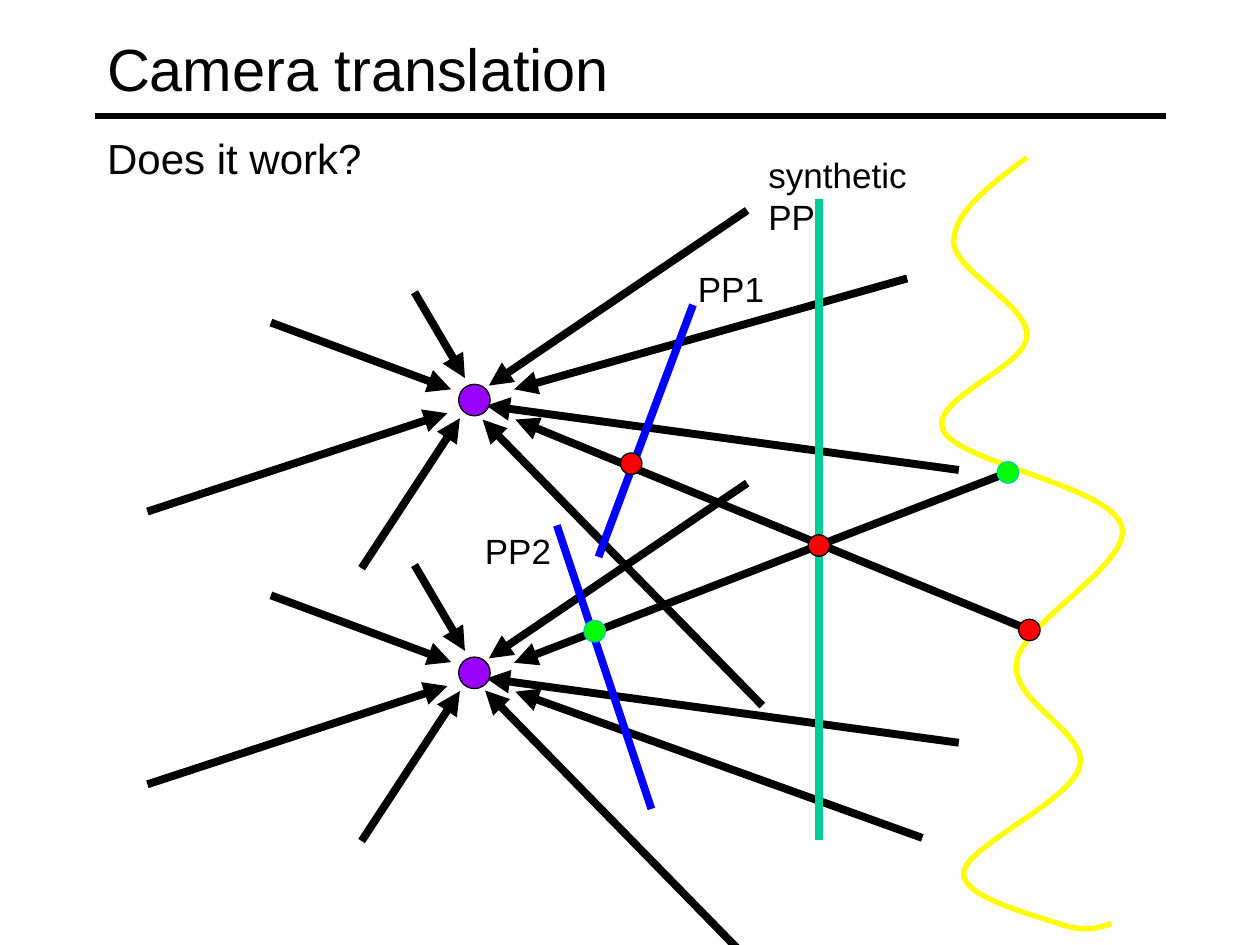
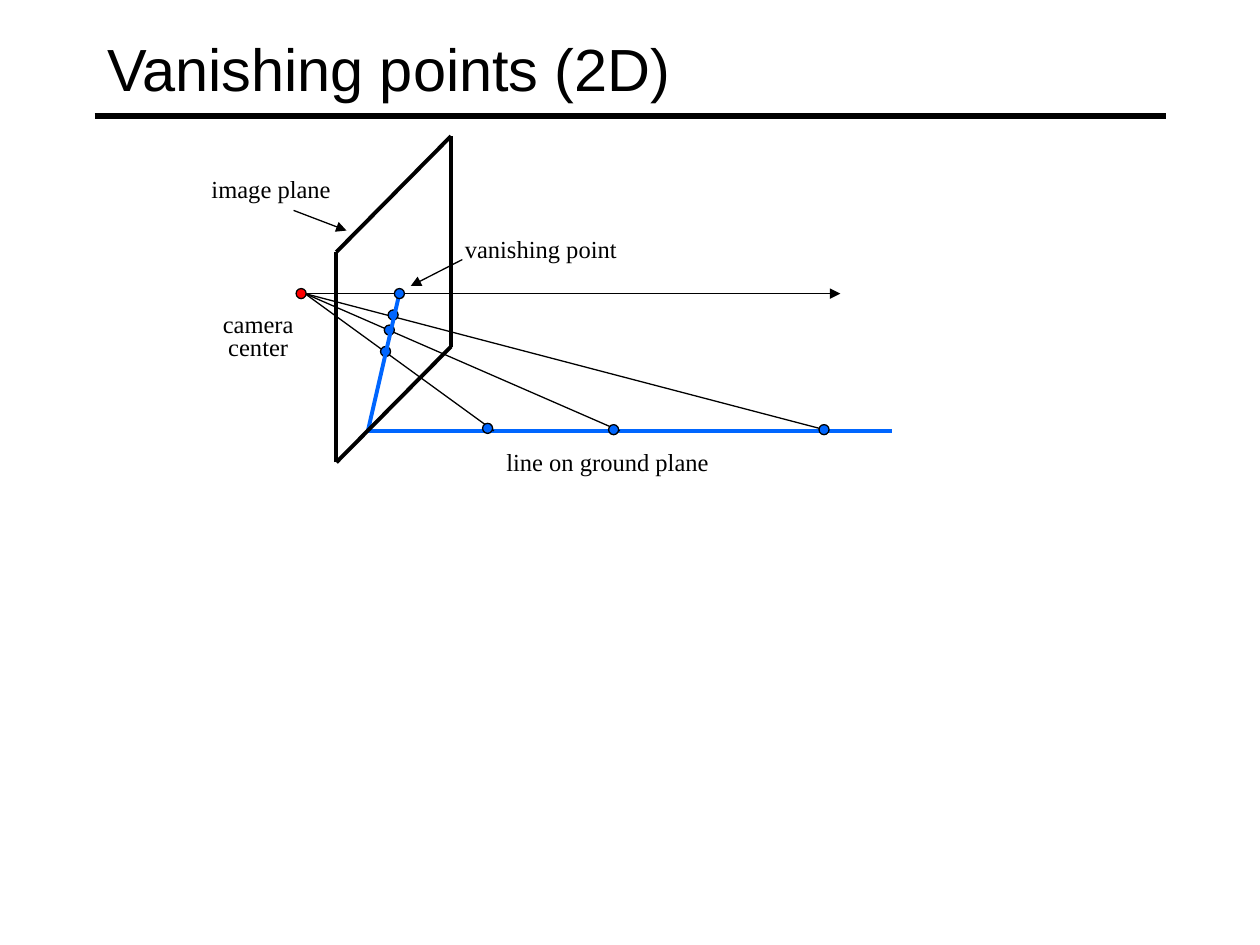
from lxml import etree
from pptx import Presentation
from pptx import util as u
from pptx.dml.color import RGBColor
from pptx.enum import shapes, text
from pptx.oxml.ns import qn

HUE = {"ink": "000000", "violet": "9900FF", "yellow": "FFFF00", "teal": "00CC99",
       "plane": "0000FF", "red": "FF0000", "green": "00FF00", "blue": "0066FF"}
SANS, SERIF = "Arial", "Times New Roman"
RULE = ((0.75, 0.92), (9.25, 0.92))

# Slide 1: rays run from far point to the tip beside a camera
RAYS = [((3.29, 2.32), (3.69, 3)), ((2.15, 2.56), (3.58, 3.09)),
        ((7.61, 3.73), (3.86, 3.22)), ((2.87, 4.51), (3.65, 3.32)),
        ((5.93, 1.67), (3.88, 3.06)), ((1.17, 4.06), (3.55, 3.28))]
CAMS = [  # drop below the first camera, rays that only this camera has
    (0, [((7.2, 2.21), (4.08, 3.09)), ((8.17, 5), (4.09, 3.33)),
         ((6.05, 5.6), (3.83, 3.33))]),
    (2.165, [((8, 3.75), (4.08, 5.26)), ((7.32, 6.65), (4.09, 5.49)),
             ((6.07, 7.75), (3.85, 5.48))])]
EYE = (3.765, 3.175)
SCENE = [(8.15, 1.25),
         (7.86, 1.47), (7.57, 1.68), (7.57, 1.92),
         (7.57, 2.15), (8.17, 2.42), (8.15, 2.67),
         (8.14, 2.92), (7.36, 3.17), (7.49, 3.42),
         (7.61, 3.67), (8.81, 3.86), (8.9, 4.17),
         (9, 4.47), (8.12, 4.93), (8.07, 5.25),
         (8.01, 5.57), (8.64, 5.81), (8.57, 6.08),
         (8.5, 6.36), (7.68, 6.71), (7.65, 6.92),
         (7.62, 7.12), (8.21, 7.26), (8.4, 7.33),
         (8.6, 7.4), (8.71, 7.37), (8.82, 7.33)]
PLANES = [((6.5, 1.58), (6.5, 6.67), "teal"), ((5.5, 2.42), (4.75, 4.42), "plane"),
          ((4.42, 4.17), (5.17, 6.42), "plane")]
TAGS = [("synthetic PP", (6, 1.17, 1.74, 0.43)), ("PP1", (5.44, 2.07, 0.73, 0.43)),
        ("PP2", (3.75, 4.15, 0.73, 0.43))]
HITS = [("red", "ink", [(5.01, 3.68), (8.17, 5), (6.5, 4.33)]),
        ("green", "teal", [(4.72, 5.01), (8, 3.75)])]

# Slide 2
CENTER = (2.42, 2.33)
FOOT, END = (2.92, 3.42), (7.08, 3.42)
VANISH = (3.17, 2.33)
SIGHTS = [  # ground end of the ray, dots on ground and on image plane
    ((3.92, 3.42), (3.87, 3.4), (3.06, 2.79)),
    ((4.92, 3.42), (4.87, 3.41), (3.09, 2.62)),
    ((6.58, 3.42), (6.54, 3.41), (3.12, 2.5))]
FRAME = [(2.67, 2), (3.58, 1.08), (3.58, 2.75), (2.67, 3.67)]
ARROWS = [(CENTER, (6.67, 2.33)), ((2.33, 1.67), (2.75, 1.83)),
          ((3.67, 2.06), (3.26, 2.27))]
NOTES = [("image plane", (1.58, 1.33, 1.15, 0.33)),
         ("camera\ncenter", (1.67, 2.4, 0.76, 0.52)),
         ("line on ground plane", (3.92, 3.5, 1.81, 0.33)),
         ("vanishing point", (3.59, 1.81, 1.41, 0.33))]


def rgb(name):
    return RGBColor.from_string(HUE[name])


def place(shape, box):
    shape.left, shape.top, shape.width, shape.height = map(u.Inches, box)


def style(par, size, font):
    for run in par.runs:
        run.font.size, run.font.name = u.Pt(size), font
        run.font.color.rgb = rgb("ink")


def stroke(shape, hue, width):
    shape.line.color.rgb = rgb(hue)
    shape.line.width = u.Pt(width)


def link(slide, start, end, width, hue="ink", tip=False):
    line = slide.shapes.add_connector(
        shapes.MSO_CONNECTOR.STRAIGHT, *map(u.Inches, start + end))
    stroke(line, hue, width)
    prop = line._element.spPr
    if tip:
        etree.SubElement(prop.find(qn("a:ln")), qn("a:tailEnd"), type="triangle")
    etree.SubElement(prop, qn("a:effectLst"))


def dot(slide, mid, size, fill, edge="ink"):
    box = (mid[0] - size / 2, mid[1] - size / 2, size, size)
    disc = slide.shapes.add_shape(shapes.MSO_SHAPE.OVAL, *map(u.Inches, box))
    disc.shadow.inherit = False
    disc.fill.solid()
    disc.fill.fore_color.rgb = rgb(fill)
    stroke(disc, edge, 0.75)


def label(slide, words, box, size, font):
    frame = slide.shapes.add_textbox(*map(u.Inches, box)).text_frame
    frame.word_wrap = False
    frame.auto_size = text.MSO_AUTO_SIZE.SHAPE_TO_FIT_TEXT
    frame.text = words
    for num, par in enumerate(frame.paragraphs):
        if len(frame.paragraphs) > 1:
            par.alignment = text.PP_ALIGN.CENTER
        if num:
            par.line_spacing = 0.8
        style(par, size, font)


def curve(slide, points, hue, width):
    """Draw one start point followed by triples of Bézier points."""
    pen = slide.shapes.build_freeform(*points[0], scale=u.Inches(1) / 1.0)
    pen = slide.shapes.build_freeform(
        *(u.Inches(v) for v in points[0]), scale=1.0)
    pen.add_line_segments([tuple(map(u.Inches, p)) for p in points[1:]], close=False)
    shape = pen.convert_to_shape()
    shape.shadow.inherit = False
    shape.fill.background()
    stroke(shape, hue, width)
    path = next(shape._element.iter(qn("a:path")))
    steps = path.findall(qn("a:lnTo"))
    for i in range(0, len(steps), 3):
        bend = etree.SubElement(path, qn("a:cubicBezTo"))
        for step in steps[i:i + 3]:
            bend.append(step[0])
            path.remove(step)


def start(deck, layout, words):
    slide = deck.slides.add_slide(deck.slide_layouts[layout])
    link(slide, *RULE, 3)
    title = slide.shapes.title
    place(title, (0.75, 0.08, 8.5, 0.92))
    title.text_frame.text = words
    title.text_frame.vertical_anchor = text.MSO_ANCHOR.MIDDLE
    par = title.text_frame.paragraphs[0]
    par.alignment = text.PP_ALIGN.LEFT
    style(par, 34, SANS)
    return slide


def shift(deck):
    slide = start(deck, 1, "Camera translation")
    # Question
    body = slide.placeholders[1]
    place(body, (0.75, 1, 8.5, 0.58))
    body.text_frame.text = "Does it work?"
    par = body.text_frame.paragraphs[0]
    prop = par._p.get_or_add_pPr()
    prop.set("marL", str(u.Inches(0.38)))
    prop.set("indent", str(-u.Inches(0.38)))
    etree.SubElement(prop, qn("a:buNone"))
    par.space_before = u.Pt(0)
    style(par, 24, SANS)
    # Cameras and their rays
    for drop, own in CAMS:
        moved = [((a, b + drop), (c, d + drop)) for (a, b), (c, d) in RAYS]
        for far, near in moved + own:
            link(slide, far, near, 4.5, tip=True)
        dot(slide, (EYE[0], EYE[1] + drop), 0.25, "violet")
    # Scene surface, projection planes and hits
    curve(slide, SCENE, "yellow", 3)
    for top, low, hue in PLANES:
        link(slide, top, low, 4.5, hue)
    for words, box in TAGS:
        label(slide, words, box, 20, SANS)
    for fill, edge, spots in HITS:
        for spot in spots:
            dot(slide, spot, 0.17, fill, edge)


def vanish(deck):
    slide = start(deck, 5, "Vanishing points (2D)")
    # Ground line and lines of sight
    link(slide, FOOT, END, 2.25, "blue")
    for end, *spots in SIGHTS:
        link(slide, CENTER, end, 0.75)
        for spot in spots:
            dot(slide, spot, 0.08, "blue")
    # Image of the ground line, up to the vanishing point
    link(slide, FOOT, VANISH, 2.25, "blue")
    for tail, tip in ARROWS:
        link(slide, tail, tip, 0.75, tip=True)
    dot(slide, VANISH, 0.08, "blue")
    # Image plane, camera and labels
    for a, b in zip(FRAME, FRAME[1:] + FRAME[:1]):
        link(slide, a, b, 2.25)
    dot(slide, (2.39, 2.33), 0.08, "red")
    for words, box in NOTES:
        label(slide, words, box, 14, SERIF)


def main():
    deck = Presentation()
    deck.slide_width, deck.slide_height = u.Inches(10), u.Inches(7.5)
    shift(deck)
    vanish(deck)
    deck.save("out.pptx")


if __name__ == "__main__":
    main()
